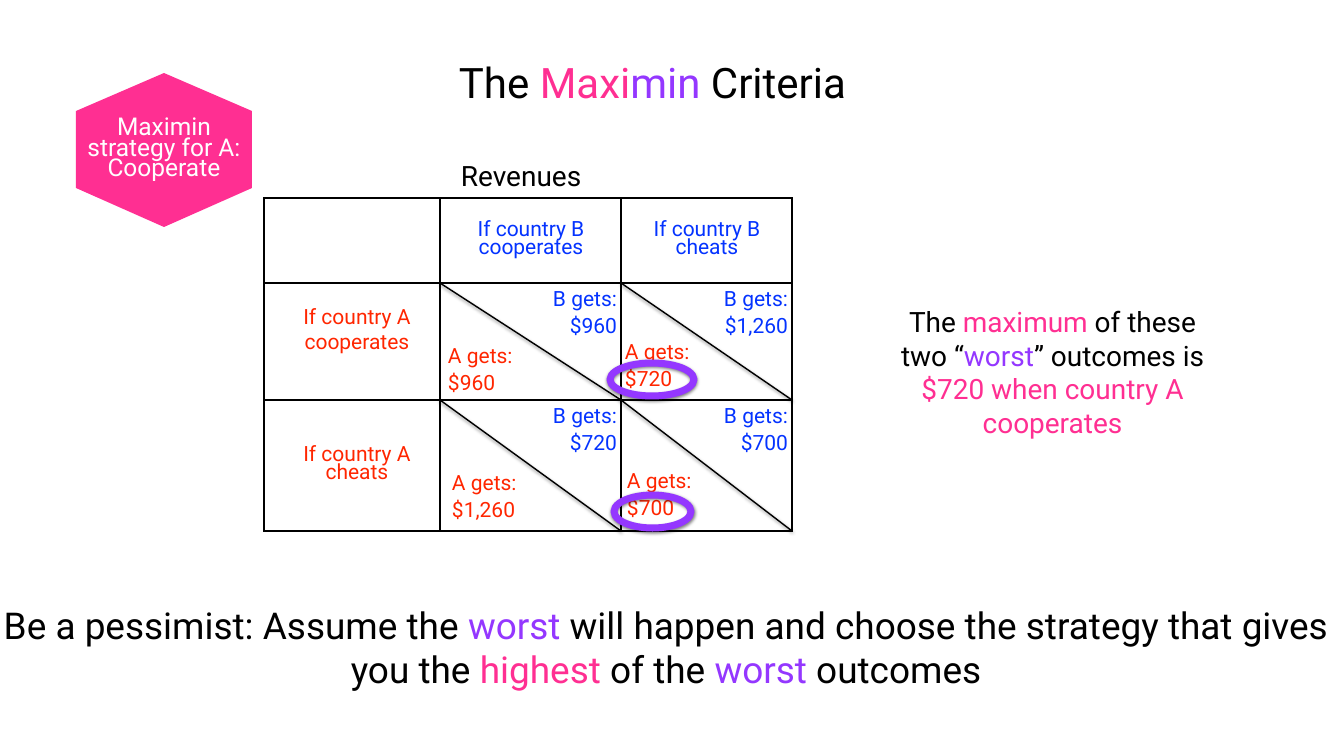
from lxml import etree
from pptx import Presentation
from pptx import util as u
from pptx.dml.color import RGBColor
from pptx.enum import shapes, text
from pptx.oxml import ns

PX = 18143  # EMU per px
FONT = "Roboto"
BLACK = RGBColor(0x00, 0x00, 0x00)
WHITE = RGBColor(0xFF, 0xFF, 0xFF)
RED = RGBColor(0xFF, 0x26, 0x00)
BLUE = RGBColor(0x04, 0x33, 0xFF)
PINK = RGBColor(0xFF, 0x2F, 0x92)
PURPLE = RGBColor(0x94, 0x37, 0xFF)
LEFT, CENTER, RIGHT = text.PP_ALIGN.LEFT, text.PP_ALIGN.CENTER, text.PP_ALIGN.RIGHT

COLUMNS = [176, 181, 171]
ROWS = [85, 117, 131]
ROW_HEADERS = [("If country A cooperates", 1.0, -13), ("If country A cheats", 0.7, 0)]
COLUMN_HEADERS = ["If country B cooperates", "If country B cheats"]
# row, column, revenue of A, its offset in the cell, revenue of B
PAYOFFS = [
    (1, 1, "$960", (5, 57), "$960"),
    (1, 2, "$720", (1, 53), "$1,260"),
    (2, 1, "$1,260", (9, 67), "$720"),
    (2, 2, "$700", (3, 65), "$700"),
]
# row, column, ring box relative to the cell
WORST_RINGS = [(2, 2, (-7, 95, 77, 33)), (1, 2, (-11, 80, 84, 33))]


def px(*lengths):
    return [u.Emu(length * PX) for length in lengths]


def soft_shadow():
    effects = etree.Element(ns.qn("a:effectLst"))
    shadow = etree.SubElement(effects, ns.qn("a:outerShdw"), blurRad="63500",
                              dist="25400", dir="5400000", rotWithShape="0")
    color = etree.SubElement(shadow, ns.qn("a:srgbClr"), val=str(BLACK))
    etree.SubElement(color, ns.qn("a:alpha"), val="50000")
    return effects


def write(shape, paragraphs, size, color=BLACK, align=CENTER, spacing=1.0,
          gap=0, wrap=True, inset=3, shadow=True):
    """Each paragraph is a string, or a list of strings and (string, colour) pairs."""
    frame = shape.text_frame
    frame.auto_size = text.MSO_AUTO_SIZE.NONE
    frame.word_wrap = wrap
    frame.vertical_anchor = text.MSO_ANCHOR.MIDDLE
    frame.margin_left = frame.margin_right = u.Emu(inset * PX)
    frame.margin_top = frame.margin_bottom = u.Emu(3 * PX)
    for index, parts in enumerate(paragraphs):
        paragraph = frame.add_paragraph() if index else frame.paragraphs[0]
        paragraph.alignment = align
        paragraph.line_spacing = spacing
        if index:
            paragraph.space_before = u.Pt(gap)
        for part in [parts] if isinstance(parts, str) else parts:
            words, run_color = (part, color) if isinstance(part, str) else part
            run = paragraph.add_run()
            run.text = words
            run.font.size = u.Pt(size)
            run.font.color.rgb = run_color
            run.font.name = FONT
            if shadow:
                run.font._element.find(ns.qn("a:latin")).addprevious(soft_shadow())


def label(slide, box, paragraphs, size, **style):
    write(slide.shapes.add_textbox(*px(*box)), paragraphs, size, **style)


def border_cell(cell):
    cell.fill.background()
    properties = cell._tc.get_or_add_tcPr()
    for index, side in enumerate(("lnL", "lnR", "lnT", "lnB")):
        line = etree.Element(ns.qn("a:" + side), w=str(u.Pt(3)))
        fill = etree.SubElement(line, ns.qn("a:solidFill"))
        etree.SubElement(fill, ns.qn("a:srgbClr"), val=str(BLACK))
        properties.insert(index, line)


def revenue_grid(slide, left, top):
    xs = [left + sum(COLUMNS[:i]) for i in range(4)]
    ys = [top + sum(ROWS[:i]) for i in range(4)]

    # Grid and caption
    label(slide, (left + 194, top - 45, 126, 44), ["Revenues"], 40,
          align=LEFT, wrap=False, shadow=False)
    grid = slide.shapes.add_table(
        3, 3, *px(left, top, sum(COLUMNS), sum(ROWS))).table
    for column, width in zip(grid.columns, COLUMNS):
        column.width = u.Emu(width * PX)
    for row, height in zip(grid.rows, ROWS):
        row.height = u.Emu(height * PX)
    for cell in grid.iter_cells():
        border_cell(cell)

    # Headers, centred in their cells
    for i, header in enumerate(COLUMN_HEADERS, 1):
        center = (xs[i] + xs[i + 1]) // 2
        label(slide, (center - 65, top + 15, 132, 54), [header], 30,
              color=BLUE, spacing=0.7)
    for i, (header, spacing, shift) in enumerate(ROW_HEADERS, 1):
        middle = (ys[i] + ys[i + 1]) // 2 + shift
        label(slide, (left + 15, middle - 31, 156, 63), [header], 30,
              color=RED, spacing=spacing)

    # Payoffs on either side of a diagonal
    for row, column, a_gets, (dx, dy), b_gets in PAYOFFS:
        x, y, right, bottom = xs[column], ys[row], xs[column + 1], ys[row + 1]
        diagonal = slide.shapes.add_connector(
            shapes.MSO_CONNECTOR.STRAIGHT, *px(x, y, right, bottom))
        diagonal.line.color.rgb = BLACK
        diagonal.line.width = u.Pt(2)
        diagonal._element.spPr.append(soft_shadow())
        label(slide, (x + dx, y + dy, 73, 64), ["A gets:", a_gets], 30,
              color=RED, align=LEFT, spacing=0.7, gap=13, wrap=False)
        label(slide, (right - 128, y, 127, 64), ["B gets:", b_gets], 30,
              color=BLUE, align=RIGHT, spacing=0.7, gap=13)

    # Rings around the worst outcomes for A
    for row, column, (dx, dy, width, height) in WORST_RINGS:
        ring = slide.shapes.add_shape(
            shapes.MSO_SHAPE.OVAL, *px(xs[column] + dx, ys[row] + dy, width, height))
        ring.fill.background()
        ring.line.color.rgb = PURPLE
        ring.line.width = u.Pt(10)
        ring._element.spPr.append(soft_shadow())


def strategy_badge(slide, left, top, width, height):
    middle, upper, lower = width // 2, height // 4, height * 3 // 4
    corners = [(middle, 0), (width, upper), (width, lower),
               (middle, height), (0, lower), (0, upper)]
    points = [(left + x, top + y) for x, y in corners]
    builder = slide.shapes.build_freeform(*points[0], scale=PX)
    builder.add_line_segments(points[1:], close=True)
    badge = builder.convert_to_shape()
    badge.shadow.inherit = False
    badge.fill.solid()
    badge.fill.fore_color.rgb = PINK
    badge.line.fill.background()
    write(badge, ["Maximin strategy for A: Cooperate"], 35, color=WHITE,
          spacing=0.7, inset=11)


def advice_title(slide, *box):
    advice = slide.shapes.title
    advice.left, advice.top, advice.width, advice.height = px(*box)
    write(advice, [[
        "Be a pessimist: Assume the ", ("worst", PURPLE),
        " will happen and choose the strategy that gives you the ",
        ("highest", PINK), " of the ", ("worst", PURPLE), " outcomes"]], 52.8)


def main():
    deck = Presentation()
    deck.slide_width, deck.slide_height = px(1344, 756)
    slide = deck.slides.add_slide(deck.slide_layouts[5])

    revenue_grid(slide, 264, 198)
    advice_title(slide, -6, 593, 1344, 107)
    label(slide, (391, 47, 523, 70),
          [["The ", ("Maxi", PINK), ("min", PURPLE), " Criteria"]], 60)
    strategy_badge(slide, 76, 73, 176, 154)
    label(slide, (880, 292, 345, 160), [[
        "The ", ("maximum", PINK), " of these two “", ("worst", PURPLE),
        "” outcomes is ", ("$720 when country A cooperates", PINK)]], 40)

    deck.save("out.pptx")


if __name__ == "__main__":
    main()
